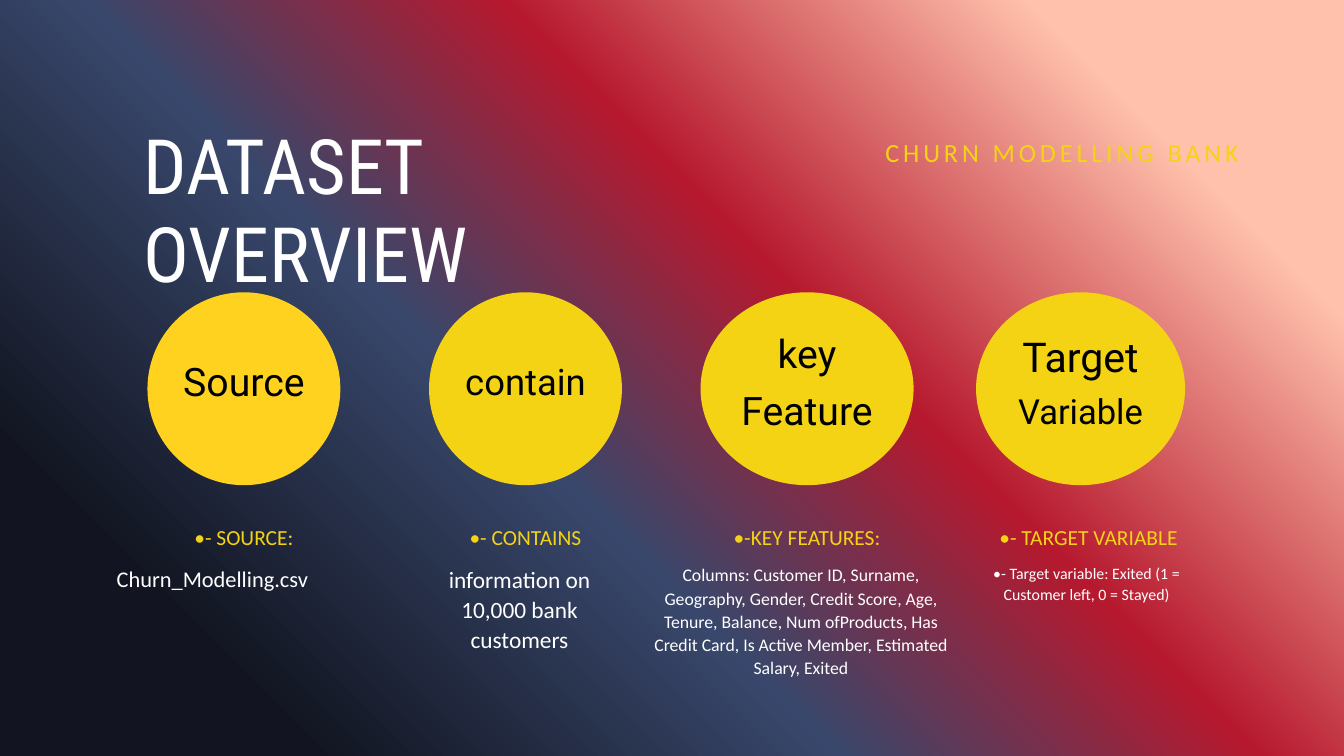
"""Build the dataset overview slide: four labelled circles with details below."""
from copy import deepcopy
from dataclasses import dataclass

from pptx import Presentation
from pptx.dml.color import RGBColor
from pptx.enum.shapes import MSO_SHAPE
from pptx.enum.text import MSO_ANCHOR, MSO_AUTO_SIZE, PP_ALIGN
from pptx.oxml.ns import qn
from pptx.util import Inches, Pt

LEFT, CENTER, RIGHT = PP_ALIGN.LEFT, PP_ALIGN.CENTER, PP_ALIGN.RIGHT
TOP, MIDDLE = MSO_ANCHOR.TOP, MSO_ANCHOR.MIDDLE
GROW, FIXED = MSO_AUTO_SIZE.SHAPE_TO_FIT_TEXT, MSO_AUTO_SIZE.NONE
OVAL = MSO_SHAPE.OVAL


@dataclass(frozen=True)
class Theme:
    """Colours, fonts, type sizes and line-height ratios."""
    yellow: str = "F4D314"
    amber: str = "FFD21F"
    white: str = "FFFFFF"
    black: str = "000000"
    title_font: str = "Roboto Condensed"
    label_font: str = "Roboto"
    text_font: str = "Calibri"
    title_size: float = 81.8
    subtitle_size: float = 28
    heading_size: float = 23
    tight: float = 1.15
    loose: float = 1.3
    label: float = 1.45
    tracking: int = 420


THEME = Theme()
GRADIENT = [(0.15, "121521"), (0.4, "38476B"), (0.6, "B6192E"), (0.85, "FFC1AC")]
TITLE = "DATASET OVERVIEW"
SUBTITLE = "CHURN MODELLING BANK"
COLUMNS = [
    {"label": [("Source", 42)], "fill": THEME.amber, "circle": (0, 2.87),
     "heading": "•- SOURCE:",
     "detail": "Churn_Modelling.csv", "size": 24, "detail_box": (-0.47, 3.48)},
    {"label": [("contain", 39)], "fill": THEME.yellow, "circle": (0, 2.87),
     "heading": "•- CONTAINS",
     "detail": "information on 10,000 bank customers", "size": 25,
     "detail_box": (-0.09, 3.14)},
    {"label": [("key", 42), ("Feature", 42)], "fill": THEME.yellow,
     "circle": (0, 3.17), "heading": "•-KEY FEATURES:",
     "detail": "Columns: Customer ID, Surname, Geography, Gender, Credit Score, "
               "Age, Tenure, Balance, Num ofProducts, Has Credit Card, "
               "Is Active Member, Estimated Salary, Exited",
     "size": 19, "detail_box": (-0.09, 4.44)},
    {"label": [("Target", 44), ("Variable", 37)], "fill": THEME.yellow,
     "circle": (-0.12, 3.11), "heading": "•- TARGET VARIABLE",
     "detail": "•- Target variable: Exited (1 = Customer left, 0 = Stayed)",
     "size": 17, "detail_box": (-0.03, 2.95)},
]
SLIDE_WIDTH, SLIDE_HEIGHT = 20, 11.25
FIRST_CENTER, PITCH = 3.63, 4.19
CIRCLE_TOP, CIRCLE_HEIGHT = 4.35, 2.87
LABEL_TOP, LABEL_HEIGHT, LABEL_SHARE = 4.25, 2.7, 0.81
HEADING_TOP, HEADING_WIDTH, HEADING_HEIGHT = 7.81, 3.32, 0.37
DETAIL_TOP, DETAIL_HEIGHT = 8.37, 0.42


def place(shape, left, top, width, height):
    shape.left, shape.top = Inches(left), Inches(top)
    shape.width, shape.height = Inches(width), Inches(height)


def write(box, lines, font, color, ratio, align=CENTER, anchor=TOP,
          inset=0, fit=GROW, tracking=0):
    frame = box.text_frame
    frame.word_wrap, frame.auto_size, frame.vertical_anchor = True, fit, anchor
    frame.margin_left = frame.margin_right = Inches(inset)
    frame.margin_top = frame.margin_bottom = Inches(inset)
    for index, (text, size) in enumerate(lines):
        para = frame.add_paragraph() if index else frame.paragraphs[0]
        para.alignment = align
        para.line_spacing = Pt(size * ratio)
        span = para.add_run()
        span.text = text
        span.font.name, span.font.size = font, Pt(size)
        span.font.color.rgb = RGBColor.from_string(color)
        if tracking:
            span.font._element.set("spc", str(tracking))


def add_text(page, area, lines, *style, **options):
    box = page.shapes.add_textbox(*map(Inches, area))
    write(box, lines, *style, **options)


def paint_background(page):
    fill = page.background.fill
    fill.gradient()
    fill.gradient_angle = 45
    stops = page.element.find(".//" + qn("a:gsLst"))
    while len(stops) < len(GRADIENT):
        stops.append(deepcopy(stops[0]))
    for stop, (position, color) in zip(fill.gradient_stops, GRADIENT):
        stop.position = position
        stop.color.rgb = RGBColor.from_string(color)


def add_column(page, center, column):
    offset, width = column["circle"]
    middle = center + offset
    circle = page.shapes.add_shape(
        OVAL, *map(Inches, (middle - width / 2, CIRCLE_TOP, width, CIRCLE_HEIGHT)))
    circle.shadow.inherit = False
    circle.fill.solid()
    circle.fill.fore_color.rgb = RGBColor.from_string(column["fill"])
    circle.line.fill.background()

    label_width = width * LABEL_SHARE
    add_text(page, (middle - label_width / 2, LABEL_TOP, label_width, LABEL_HEIGHT),
             column["label"], THEME.label_font, THEME.black, THEME.label,
             anchor=MIDDLE, inset=0.06, fit=FIXED)
    add_text(page, (center - HEADING_WIDTH / 2, HEADING_TOP,
                    HEADING_WIDTH, HEADING_HEIGHT),
             [(column["heading"], THEME.heading_size)],
             THEME.text_font, THEME.yellow, THEME.tight)
    offset, width = column["detail_box"]
    add_text(page, (center + offset - width / 2, DETAIL_TOP, width, DETAIL_HEIGHT),
             [(column["detail"], column["size"])],
             THEME.text_font, THEME.white, THEME.loose)


def main():
    deck = Presentation()
    deck.slide_width, deck.slide_height = Inches(SLIDE_WIDTH), Inches(SLIDE_HEIGHT)
    page = deck.slides.add_slide(deck.slide_layouts.get_by_name("Title Only"))
    paint_background(page)
    title = page.shapes.title
    place(title, 2.14, 1.82, 6.55, 1.33)
    write(title, [(TITLE, THEME.title_size)], THEME.title_font, THEME.white,
          THEME.tight, align=LEFT)
    add_text(page, (11.1, 1.93, 7.34, 0.54), [(SUBTITLE, THEME.subtitle_size)],
             THEME.text_font, THEME.yellow, THEME.label, align=RIGHT,
             tracking=THEME.tracking)
    for index, column in enumerate(COLUMNS):
        add_column(page, FIRST_CENTER + index * PITCH, column)
    deck.save("out.pptx")


if __name__ == "__main__":
    main()
